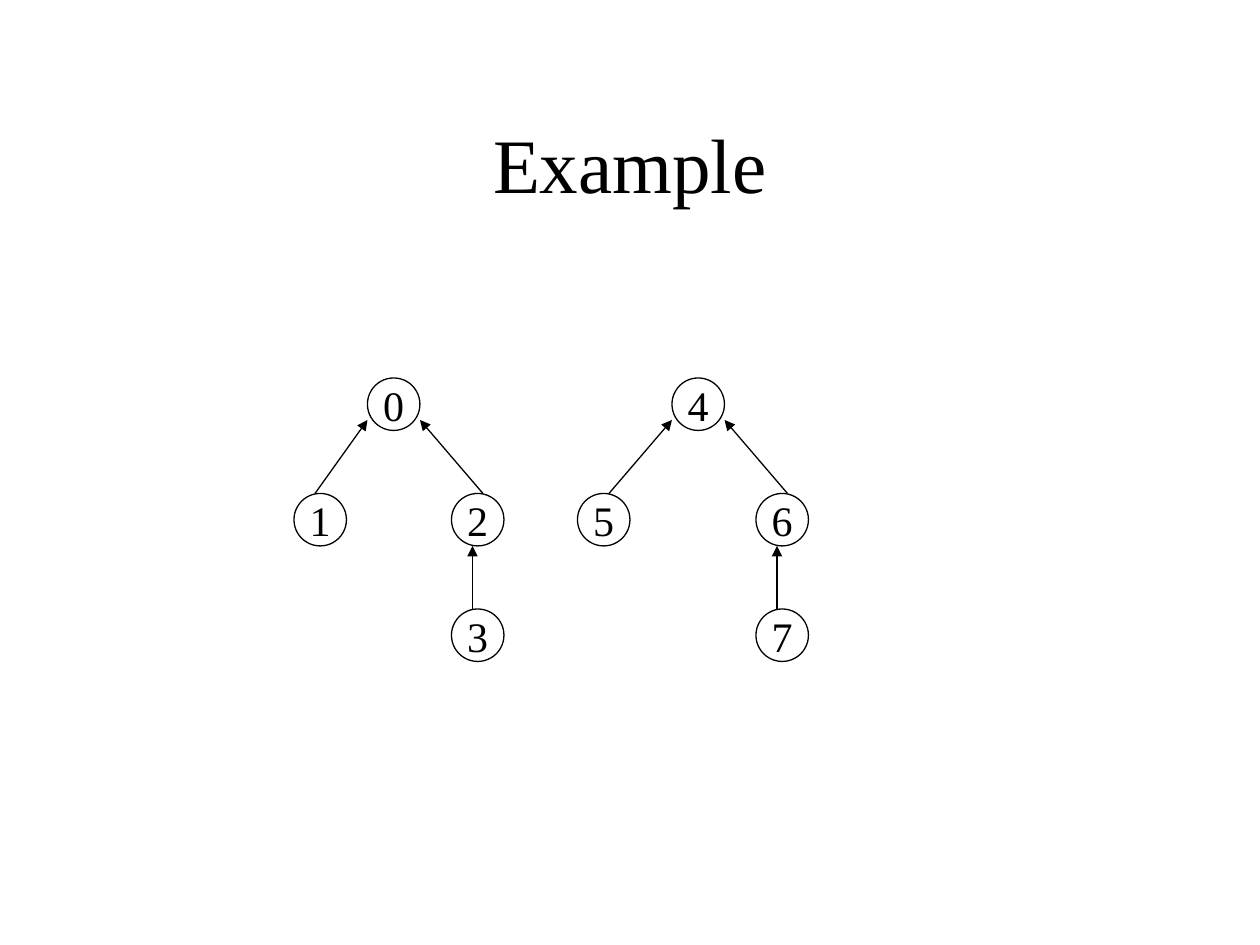
"""Build a slide showing a forest of two trees with child-to-parent arrows."""
from dataclasses import dataclass

from lxml.etree import SubElement
from pptx import Presentation
from pptx.dml.color import RGBColor
from pptx.enum.shapes import MSO_CONNECTOR, MSO_SHAPE
from pptx.enum.text import MSO_ANCHOR, PP_ALIGN
from pptx.oxml.ns import qn
from pptx.util import Pt

TITLE = "Example"
TITLE_BOX = (90, 80, 1020, 150)
NODES = {
    "0": (350, 0), "1": (280, 1), "2": (430, 1), "3": (430, 2),
    "4": (640, 0), "5": (550, 1), "6": (720, 1), "7": (720, 2),
}
EDGES = [
    ("1", "0", 20), ("2", "0", 30), ("3", "2", 20),
    ("5", "4", 30), ("6", "4", 30), ("7", "6", 20),
]
SLIDE_W, SLIDE_H = 1200, 900
TOP, ROW_PITCH, DIAMETER, SIDE_DROP = 360, 110, 50, 40
EMU_PER_PX = 7620


@dataclass(frozen=True)
class Theme:
    font: str = "Times New Roman"
    ink: RGBColor = RGBColor(0, 0, 0)
    title_size: float = 44
    node_size: float = 24
    line_width: float = 0.75


THEME = Theme()


def px(*values):
    return [value * EMU_PER_PX for value in values]


def row_top(row):
    return TOP + row * ROW_PITCH


def set_text(shape, text, size):
    tf = shape.text_frame
    tf.text = text
    tf.vertical_anchor = MSO_ANCHOR.MIDDLE
    p = tf.paragraphs[0]
    p.alignment = PP_ALIGN.CENTER
    p.font.name = THEME.font
    p.font.size = Pt(size)
    p.font.color.rgb = THEME.ink


def set_line(shape):
    shape.line.color.rgb = THEME.ink
    shape.line.width = Pt(THEME.line_width)


def add_node(s, label, left, row):
    sp = s.shapes.add_shape(
        MSO_SHAPE.OVAL, *px(left, row_top(row), DIAMETER, DIAMETER))
    sp.shadow.inherit = False
    sp.fill.background()
    set_line(sp)
    set_text(sp, label, THEME.node_size)
    sp.text_frame.word_wrap = False


def add_edge(s, child, parent, offset):
    child_left, child_row = NODES[child]
    parent_left, parent_row = NODES[parent]
    x1, y1 = child_left + offset, row_top(child_row)
    if child_left == parent_left:
        x2, y2 = x1, row_top(parent_row) + DIAMETER
    else:
        x2 = parent_left + (DIAMETER if child_left > parent_left else 0)
        y2 = row_top(parent_row) + SIDE_DROP
    line = s.shapes.add_connector(MSO_CONNECTOR.STRAIGHT, *px(x1, y1, x2, y2))
    set_line(line)
    SubElement(line.line._get_or_add_ln(), qn("a:tailEnd"), type="triangle")
    SubElement(line._element.spPr, qn("a:effectLst"))


def main():
    prs = Presentation()
    prs.slide_width, prs.slide_height = px(SLIDE_W, SLIDE_H)
    s = prs.slides.add_slide(prs.slide_layouts[5])
    title = s.shapes.title
    title.left, title.top, title.width, title.height = px(*TITLE_BOX)
    set_text(title, TITLE, THEME.title_size)
    for label, (left, row) in NODES.items():
        add_node(s, label, left, row)
    for edge in EDGES:
        add_edge(s, *edge)
    prs.save("out.pptx")


if __name__ == "__main__":
    main()
